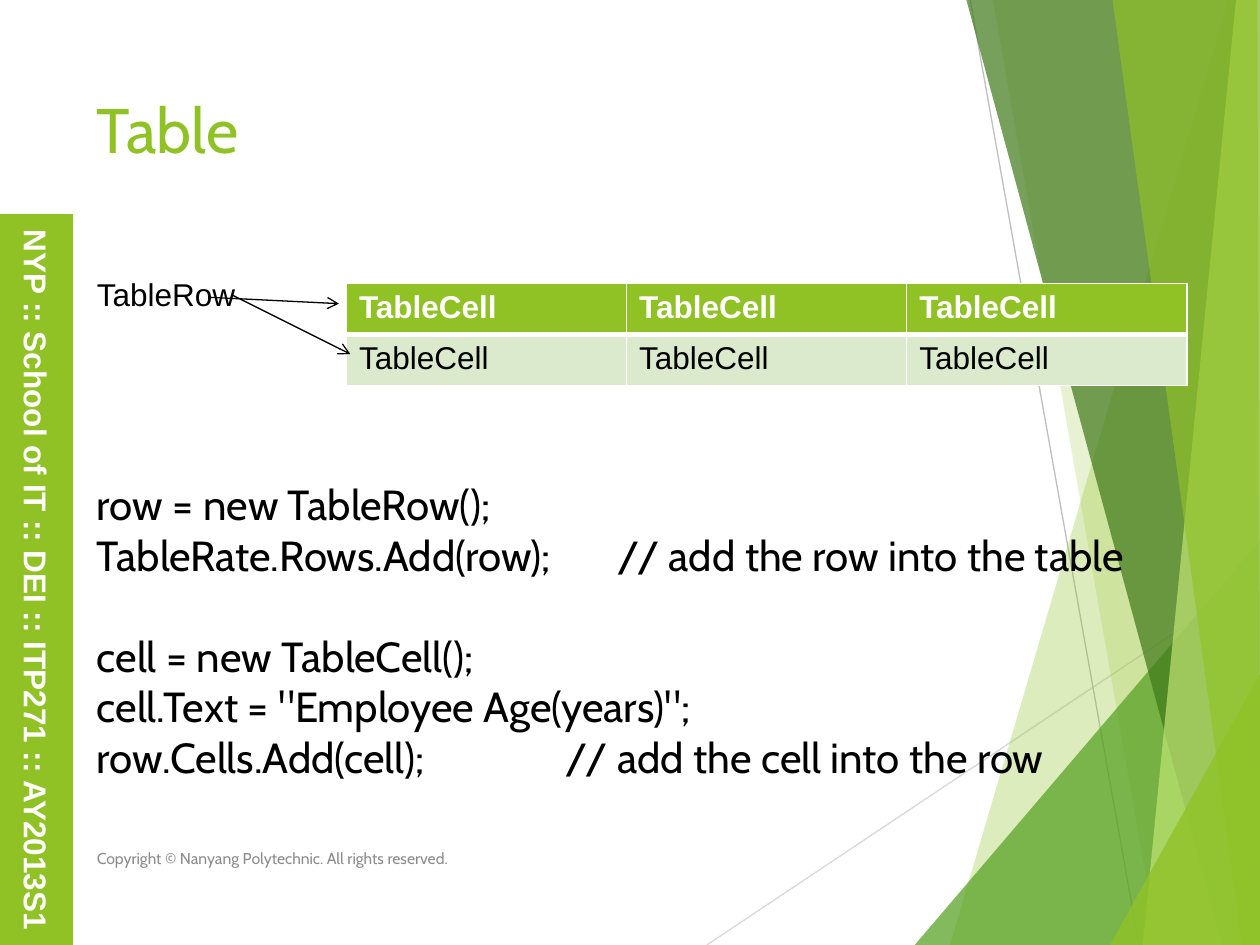
from lxml import etree
from pptx import Presentation
from pptx.dml.color import RGBColor
from pptx.enum import shapes, text
from pptx.oxml import ns
from pptx.util import Inches, Pt

COLOURS = {
    "lime": "90C226", "green": "54A021", "forest": "3F7819", "pale": "C0E474",
    "mint": "DBE9CD", "white": "FFFFFF", "black": "000000",
    "grey": "8C8C8C", "silver": "BFBFBF", "light": "D9D9D9",
}

# Corner points, colour and opacity in percent
FACETS = [
    ([(0, 4.39), (0.49, 7.5), (0, 7.5)], "lime", 85),
    ([(9.75, 0), (7.54, 7.5), (10, 7.5), (10, 0)], "lime", 30),
    ([(7.88, 0), (9.19, 7.5), (10, 7.5), (10, 0)], "lime", 20),
    ([(7.26, 7.5), (10, 4.29), (10, 7.5)], "green", 72),
    ([(7.67, 0), (9.7, 7.5), (10, 7.5), (10, 0)], "forest", 70),
    ([(9.81, 0), (9.07, 7.5), (10, 7.5), (10, 0)], "pale", 70),
    ([(8.83, 0), (9.86, 7.5), (10, 7.5), (9.98, 0)], "lime", 65),
    ([(8.81, 7.5), (10, 5.35), (10, 7.5)], "lime", 80),
]

# Code line, tab stop of its comment in inches, space before in points
CODE = [
    ("row = new TableRow();", None, 0),
    ("TableRate.Rows.Add(row);\t// add the row into the table", 4.13, 0),
    ("cell = new TableCell();", None, 29),
    ('cell.Text = "Employee Age(years)";', None, 0),
    ("row.Cells.Add(cell);\t// add the cell into the row", 3.72, 0),
]


def rgb(name):
    return RGBColor.from_string(COLOURS[name])


def add_xml(parent, tag, **attributes):
    return etree.SubElement(parent, ns.qn(tag), attributes)


def paint(shape, colour):
    shape.shadow.inherit = False
    shape.fill.solid()
    shape.fill.fore_color.rgb = rgb(colour)
    shape.line.fill.background()


def style(para, font, size, colour, bold=False):
    for span in para.runs:
        span.font.name = font
        span.font.size = Pt(size)
        span.font.bold = bold
        span.font.color.rgb = rgb(colour)


def add_facet(page, points, colour, opacity):
    corners = [(Inches(x), Inches(y)) for x, y in points]
    builder = page.shapes.build_freeform(*corners[0])
    builder.add_line_segments(corners[1:], close=True)
    facet = builder.convert_to_shape()
    paint(facet, colour)
    tint = facet.fill._xPr.find(".//" + ns.qn("a:srgbClr"))
    add_xml(tint, "a:alpha", val=str(opacity * 1000))


def add_line(page, start, end, colour, arrow=False):
    line = page.shapes.add_connector(
        shapes.MSO_CONNECTOR.STRAIGHT, *[Inches(v) for v in start + end])
    line.line.color.rgb = rgb(colour)
    line.line.width = Pt(0.75)
    if arrow:
        add_xml(line.line._get_or_add_ln(), "a:tailEnd", type="arrow")
    add_xml(line._element.spPr, "a:effectLst")


def add_sidebar(page):
    bar = page.shapes.add_shape(
        shapes.MSO_SHAPE.RECTANGLE, 0, Inches(1.7), Inches(0.58), Inches(5.8))
    paint(bar, "lime")
    frame = bar.text_frame
    frame.text = "NYP :: School of IT :: DEI :: ITP271 :: AY2013S1"
    frame.word_wrap = False
    frame.vertical_anchor = text.MSO_ANCHOR.MIDDLE
    frame.margin_left = frame.margin_right = frame.margin_bottom = Inches(0.04)
    frame.margin_top = Inches(0.12)
    frame._txBody.bodyPr.set("vert", "eaVert")
    frame.paragraphs[0].alignment = text.PP_ALIGN.CENTER
    style(frame.paragraphs[0], "Arial", 18, "white", bold=True)


def add_text(page, area, words, font, size, colour,
             anchor=text.MSO_ANCHOR.TOP, wrap=True):
    box = page.shapes.add_textbox(*[Inches(v) for v in area])
    frame = box.text_frame
    frame.word_wrap = wrap
    frame.vertical_anchor = anchor
    frame.text = words
    for para in frame.paragraphs:
        style(para, font, size, colour)
    return frame


def add_borders(cell, widths):
    """Put white borders on a cell; widths maps each side to points."""
    properties = cell._tc.get_or_add_tcPr()
    for side, width in widths.items():
        border = add_xml(properties, f"a:ln{side}", w=str(Pt(width)))
        fill = add_xml(border, "a:solidFill")
        add_xml(fill, "a:srgbClr", val=COLOURS["white"])


def add_cell_table(page):
    table = page.shapes.add_table(
        2, 3, Inches(2.75), Inches(2.25), Inches(6.67), Inches(0.81)).table
    looks = [("lime", "white", True, {"L": 1, "R": 1, "T": 1, "B": 3}),
             ("mint", "black", False, {"L": 1, "R": 1, "T": 3, "B": 1})]
    for row, (fill, colour, bold, widths) in zip(table.rows, looks):
        for cell in row.cells:
            cell.text = "TableCell"
            style(cell.text_frame.paragraphs[0], "Arial", 18, colour, bold)
            add_borders(cell, widths)
            cell.fill.solid()
            cell.fill.fore_color.rgb = rgb(fill)


def add_code(page):
    words = "\n".join(line for line, _, _ in CODE)
    frame = add_text(page, (0.67, 3.75, 8.75, 2.52), words, "Cabin", 24, "black")
    for para, (_, stop, gap) in zip(frame.paragraphs, CODE):
        if gap:
            para.space_before = Pt(gap)
        if stop:
            tabs = add_xml(para._p.get_or_add_pPr(), "a:tabLst")
            add_xml(tabs, "a:tab", pos=str(Inches(stop)), algn="l")


def main():
    deck = Presentation()
    deck.slide_width, deck.slide_height = Inches(10), Inches(7.5)
    page = deck.slides.add_slide(deck.slide_layouts[6])

    add_facet(page, *FACETS[0])
    add_line(page, (5.61, 7.5), (10, 4.57), "light")
    add_line(page, (7.7, 0), (9.04, 7.5), "silver")
    for facet in FACETS[1:]:
        add_facet(page, *facet)
    add_sidebar(page)

    add_text(page, (0.67, 0.67, 6.94, 1.44), "Table", "Cabin", 36, "lime")
    add_text(page, (0.67, 6.61, 5.06, 0.4),
             "Copyright © Nanyang Polytechnic. All rights reserved.",
             "Cabin", 9, "grey", anchor=text.MSO_ANCHOR.MIDDLE)
    add_cell_table(page)
    add_text(page, (0.67, 2.13, 1.31, 0.4), "TableRow", "Arial", 18, "black",
             wrap=False)
    add_line(page, (1.67, 2.36), (2.69, 2.41), "black", arrow=True)
    add_line(page, (1.84, 2.34), (2.78, 2.81), "black", arrow=True)
    add_code(page)
    deck.save("out.pptx")


if __name__ == "__main__":
    main()
